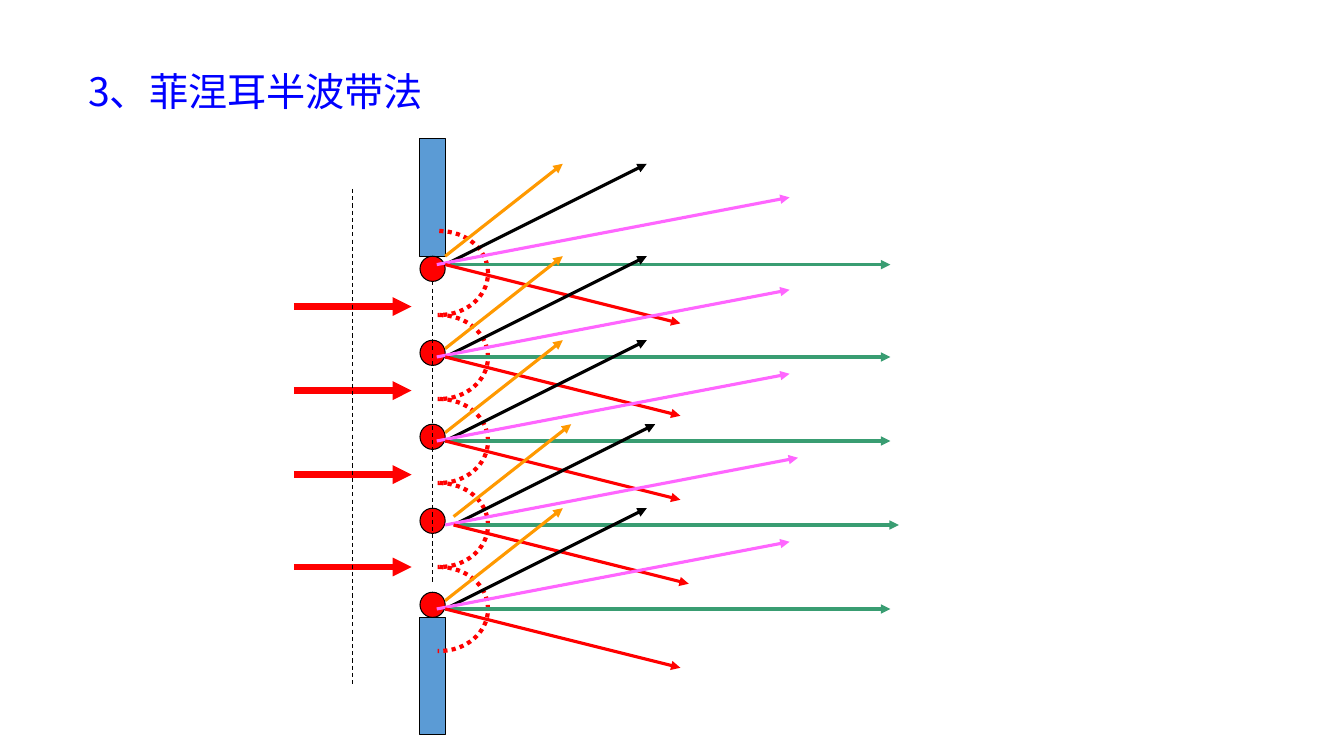
from lxml import etree
from pptx import Presentation
from pptx import util as u
from pptx.dml.color import RGBColor
from pptx.enum import dml, shapes, text
from pptx.oxml import ns

PX = 7620
FONT = "Noto Sans CJK SC"
BLACK = RGBColor(0x00, 0x00, 0x00)
BLUE = RGBColor(0x00, 0x00, 0xFF)
WALL = RGBColor(0x5B, 0x9B, 0xD5)
RED = RGBColor(0xFF, 0x00, 0x00)
GREEN = RGBColor(0x39, 0x9D, 0x72)
ORANGE = RGBColor(0xFF, 0x99, 0x00)
PINK = RGBColor(0xFF, 0x66, 0xFF)

DASH = dml.MSO_LINE.DASH
DOT = dml.MSO_LINE.ROUND_DOT
SOURCE_STEP = 100
WAVELET_CURVES = [
    (555, 0), (581, 22), (581, 50),
    (581, 78), (555, 100), (523, 100),
    (522, 100), (521, 100), (521, 100),
]
RAY_ORIGINS = [(530, 315), (530, 425), (530, 525), (540, 625), (530, 725)]
RAYS = [
    (GREEN, (0, 0), (530, 0)),
    (ORANGE, (0, -10), (140, -120)),
    (BLACK, (0, 0), (240, -120)),
    (PINK, (-10, 0), (410, -80)),
    (RED, (0, 0), (280, 70)),
]


def px(value):
    return u.Emu(value * PX)


def apply_format(target, values):
    for name, value in values.items():
        setattr(target, name, value)


def format_line(line, color, points, dash=None):
    line.color.rgb = color
    apply_format(line, {"width": u.Pt(points), "dash_style": dash})


def add_title(slide, words):
    title = slide.shapes.title
    apply_format(title, {"left": px(93), "top": px(75),
                         "width": px(426), "height": px(69)})
    frame = title.text_frame
    apply_format(frame, {
        "text": words, "word_wrap": True,
        "auto_size": text.MSO_AUTO_SIZE.NONE,
        "vertical_anchor": text.MSO_ANCHOR.TOP,
        "margin_left": px(12), "margin_right": px(12),
        "margin_top": px(5), "margin_bottom": px(5),
    })
    paragraph = frame.paragraphs[0]
    apply_format(paragraph, {"alignment": text.PP_ALIGN.JUSTIFY,
                             "line_spacing": u.Pt(34),
                             "space_before": u.Pt(0)})
    font = paragraph.runs[0].font
    apply_format(font, {"size": u.Pt(28), "name": FONT})
    font.color.rgb = BLUE
    east_asian = etree.SubElement(font._element, ns.qn("a:ea"))
    east_asian.set("typeface", FONT)


def add_solid(slide, kind, left, top, width, height, color):
    shape = slide.shapes.add_shape(
        kind, px(left), px(top), px(width), px(height))
    shape.shadow.inherit = False
    shape.fill.solid()
    shape.fill.fore_color.rgb = color
    format_line(shape.line, BLACK, 0.75)


def bend_segments(shape):
    outline = shape._element.spPr.find(".//" + ns.qn("a:path"))
    segments = outline.findall(ns.qn("a:lnTo"))
    for first in range(0, len(segments), 3):
        curve = etree.SubElement(outline, ns.qn("a:cubicBezTo"))
        for segment in segments[first:first + 3]:
            curve.append(segment[0])
            outline.remove(segment)


def add_wavelet(slide, top):
    builder = slide.shapes.build_freeform(523, top, scale=PX)
    builder.add_line_segments(
        [(x, top + y) for x, y in WAVELET_CURVES], close=False)
    shape = builder.convert_to_shape()
    bend_segments(shape)
    shape.shadow.inherit = False
    shape.fill.background()
    format_line(shape.line, RED, 3, DOT)


def add_line(slide, start, end, color, points, dash=None, arrow=False):
    connector = slide.shapes.add_connector(
        shapes.MSO_CONNECTOR.STRAIGHT, *map(px, start + end))
    format_line(connector.line, color, points, dash)
    properties = connector._element.spPr
    if arrow:
        line = properties.find(ns.qn("a:ln"))
        etree.SubElement(line, ns.qn("a:tailEnd"), type="triangle")
    etree.SubElement(properties, ns.qn("a:effectLst"))


def add_rays(slide, origin_x, origin_y):
    for color, (start_x, start_y), (end_x, end_y) in RAYS:
        add_line(slide, (origin_x + start_x, origin_y + start_y),
                 (origin_x + end_x, origin_y + end_y),
                 color, 2.25, arrow=True)


def main():
    presentation = Presentation()
    apply_format(presentation, {"slide_width": px(1600),
                                "slide_height": px(900)})
    slide = presentation.slides.add_slide(presentation.slide_layouts[5])
    add_title(slide, "3、菲涅耳半波带法")

    for top in (165, 735):
        add_solid(slide, shapes.MSO_SHAPE.RECTANGLE, 500, top, 30, 140, WALL)
    for index in range(len(RAY_ORIGINS)):
        offset = index * SOURCE_STEP
        add_wavelet(slide, 275 + offset)
        add_solid(slide, shapes.MSO_SHAPE.OVAL, 500, 305 + offset, 30, 30, RED)
    add_line(slide, (515, 335), (515, 695), BLACK, 0.75, DASH)

    for y in (365, 465, 565, 675):
        add_line(slide, (350, y), (490, y), RED, 4.5, arrow=True)
    add_line(slide, (420, 225), (420, 815), BLACK, 0.75, DASH)

    for origin in RAY_ORIGINS:
        add_rays(slide, *origin)

    presentation.save("out.pptx")


if __name__ == "__main__":
    main()
